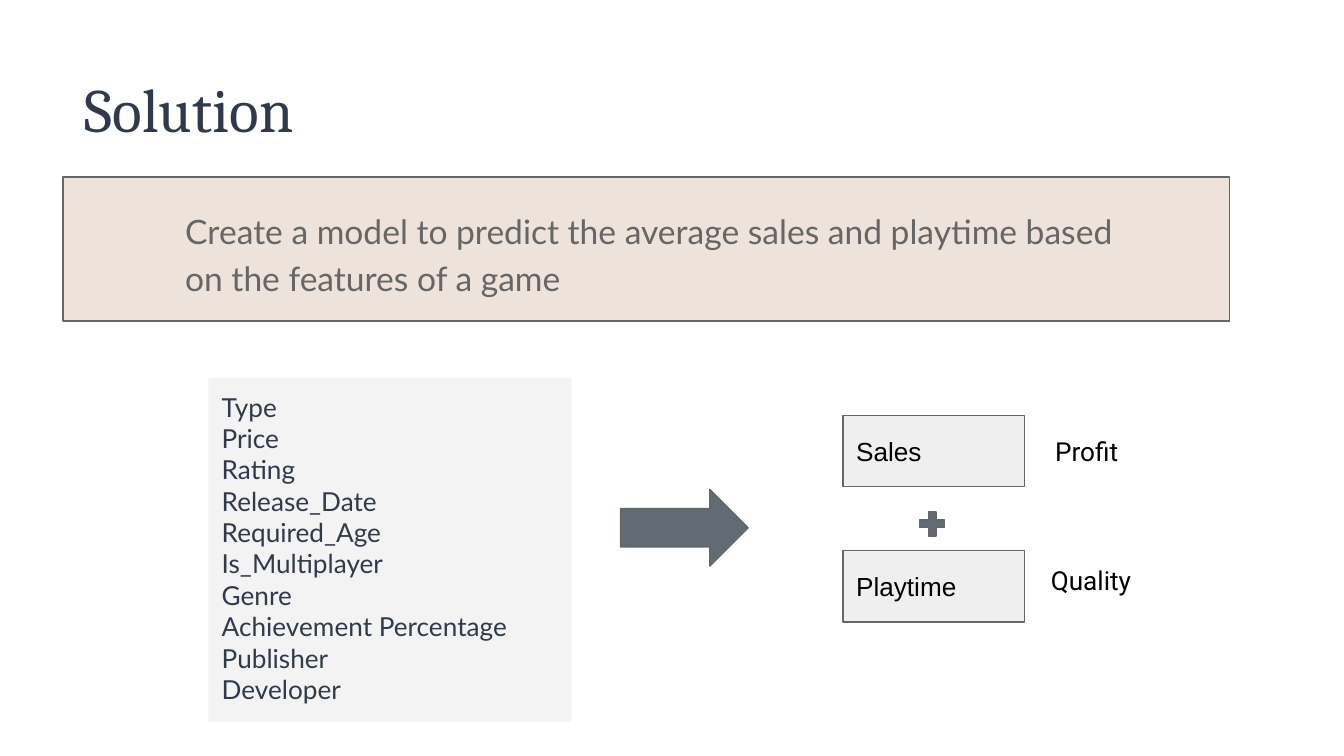
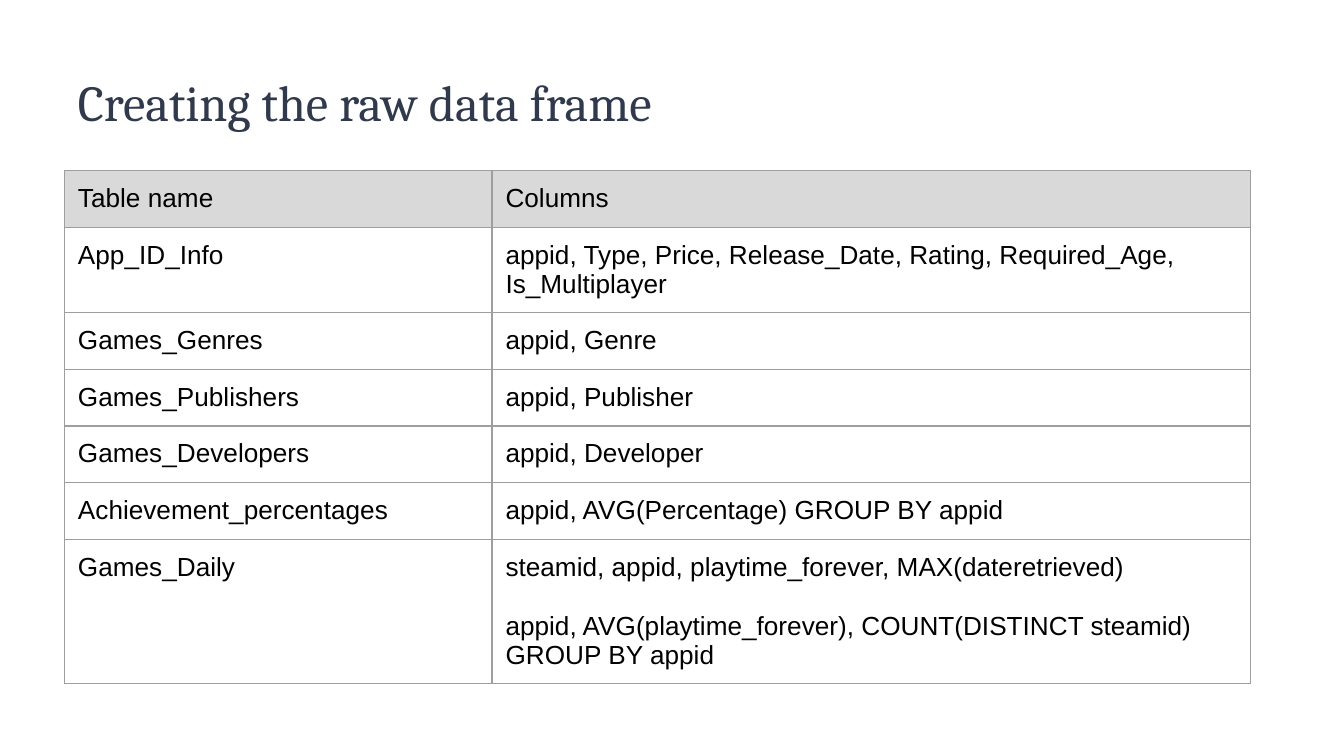
import lxml.etree
import pptx
import pptx.dml.color
import pptx.enum.shapes
import pptx.enum.text
import pptx.oxml.ns
import pptx.util

Cm, Pt = pptx.util.Cm, pptx.util.Pt
SHAPE = pptx.enum.shapes.MSO_SHAPE
ANCHOR = pptx.enum.text.MSO_ANCHOR
qn = pptx.oxml.ns.qn

COLORS = {
    "navy": "31394D",
    "gray": "666666",
    "black": "000000",
    "slate": "626B73",
    "sand": "EDE3DA",
    "panel": "F3F3F3",
    "box": "EFEFEF",
    "header": "D9D9D9",
    "border": "9E9E9E",
}
INSET = Cm(0.25)


def write(frame, text, font="Arial", size=14, color="black", anchor=None,
          spacing=1.0, before=0, after=0, plain=False):
    if anchor is not None:
        frame.vertical_anchor = anchor
    for index, line in enumerate(text.split("\n")):
        paragraph = frame.add_paragraph() if index else frame.paragraphs[0]
        paragraph.text = line
        paragraph.alignment = pptx.enum.text.PP_ALIGN.LEFT
        paragraph.line_spacing = spacing
        paragraph.space_before = Pt(before if index else 0)
        paragraph.space_after = Pt(after)
        if plain:
            properties = paragraph._p.get_or_add_pPr()
            properties.set("marL", "0")
            properties.set("indent", "0")
            lxml.etree.SubElement(properties, qn("a:buNone"))
        paragraph.font.name = font
        paragraph.font.size = Pt(size)
        paragraph.font.bold = False
        paragraph.font.color.rgb = pptx.dml.color.RGBColor.from_string(COLORS[color])


def add_block(slide, kind, left, top, width, height, fill):
    block = slide.shapes.add_shape(kind, Cm(left), Cm(top), Cm(width), Cm(height))
    block.shadow.inherit = False
    block.fill.solid()
    block.fill.fore_color.rgb = pptx.dml.color.RGBColor.from_string(COLORS[fill])
    block.line.color.rgb = pptx.dml.color.RGBColor.from_string(COLORS["gray"])
    block.line.width = Pt(0.75)
    return block


deck = pptx.Presentation()
deck.slide_width, deck.slide_height = Cm(25.4), Cm(14.29)
solution = deck.slides.add_slide(deck.slide_layouts[1])
data_frame = deck.slides.add_slide(deck.slide_layouts[5])

for slide, heading, left, size in [
    (solution, "Solution", 1.35, 33),
    (data_frame, "Creating the raw data frame", 1.22, 27),
]:
    title = slide.shapes.title
    title.left, title.top, title.width, title.height = Cm(left), Cm(1.09), Cm(14.43), Cm(2.13)
    write(title.text_frame, heading, font="Cambria", size=size, color="navy",
          anchor=ANCHOR.TOP, after=16)

features = solution.placeholders[1]
features.left, features.top, features.width, features.height = Cm(3.94), Cm(7.14), Cm(6.86), Cm(6.5)
features.fill.solid()
features.fill.fore_color.rgb = pptx.dml.color.RGBColor.from_string(COLORS["panel"])
write(features.text_frame,
      "Type\nPrice\nRating\nRelease_Date\nRequired_Age\nIs_Multiplayer\nGenre\n"
      "Achievement Percentage\nPublisher\nDeveloper",
      font="Lato", color="navy", plain=True)

add_block(solution, SHAPE.RECTANGLE, 1.19, 3.35, 22.05, 2.72, "sand")
goal = solution.shapes.add_textbox(Cm(3.25), Cm(3.63), Cm(18.44), Cm(2.16))
write(goal.text_frame,
      "Create a model to predict the average sales and playtime based on the features of a game",
      font="Lato", size=18, color="gray", spacing=1.15, after=16)

for target, top, meaning, left, meaning_top, width in [
    ("Sales", 7.85, "Profit", 19.69, 7.98, 2.01),
    ("Playtime", 10.41, "Quality", 19.61, 10.41, 2.41),
]:
    target_box = add_block(solution, SHAPE.RECTANGLE, 15.93, top, 3.43, 1.35, "box")
    write(target_box.text_frame, target, anchor=ANCHOR.MIDDLE)
    meaning_label = solution.shapes.add_textbox(Cm(left), Cm(meaning_top), Cm(width), Cm(1.12))
    write(meaning_label.text_frame, meaning, font="Roboto")

add_block(solution, SHAPE.RIGHT_ARROW, 11.73, 9.25, 2.41, 1.45, "slate")
plus = add_block(solution, SHAPE.MATH_PLUS, 17.3, 9.6, 0.64, 0.61, "slate")
plus.adjustments[0] = 0.235

sources = [
    ("Table name", "Columns"),
    ("App_ID_Info", "appid, Type, Price, Release_Date, Rating, Required_Age, Is_Multiplayer"),
    ("Games_Genres", "appid, Genre"),
    ("Games_Publishers", "appid, Publisher"),
    ("Games_Developers", "appid, Developer"),
    ("Achievement_percentages", "appid, AVG(Percentage) GROUP BY appid"),
    ("Games_Daily", "steamid, appid, playtime_forever, MAX(dateretrieved)\n"
                    "appid, AVG(playtime_forever), COUNT(DISTINCT steamid) GROUP BY appid"),
]
source_table = data_frame.shapes.add_table(
    len(sources), 2, Cm(1.22), Cm(3.23), Cm(22.41), Cm(1.07 * len(sources))).table
source_table.first_row = False
source_table.horz_banding = False
source_table.columns[0].width, source_table.columns[1].width = Cm(8.08), Cm(14.33)

for row, entries in enumerate(sources):
    source_table.rows[row].height = Cm(1.07)
    for column, entry in enumerate(entries):
        cell = source_table.cell(row, column)
        cell.margin_top = cell.margin_bottom = INSET
        write(cell.text_frame, entry, before=16)
        for side in ("a:lnL", "a:lnR", "a:lnT", "a:lnB"):
            edge = lxml.etree.SubElement(cell._tc.get_or_add_tcPr(), qn(side), w=str(Pt(0.75)))
            edge_fill = lxml.etree.SubElement(edge, qn("a:solidFill"))
            lxml.etree.SubElement(edge_fill, qn("a:srgbClr"), val=COLORS["border"])
        if row == 0:
            cell.fill.solid()
            cell.fill.fore_color.rgb = pptx.dml.color.RGBColor.from_string(COLORS["header"])
        else:
            cell.fill.background()

for slide in deck.slides:
    for shape in slide.shapes:
        if shape.has_text_frame:
            frame = shape.text_frame
            frame.margin_left = frame.margin_right = INSET
            frame.margin_top = frame.margin_bottom = INSET
            frame.word_wrap = True
            frame.auto_size = pptx.enum.text.MSO_AUTO_SIZE.NONE

deck.save("out.pptx")
